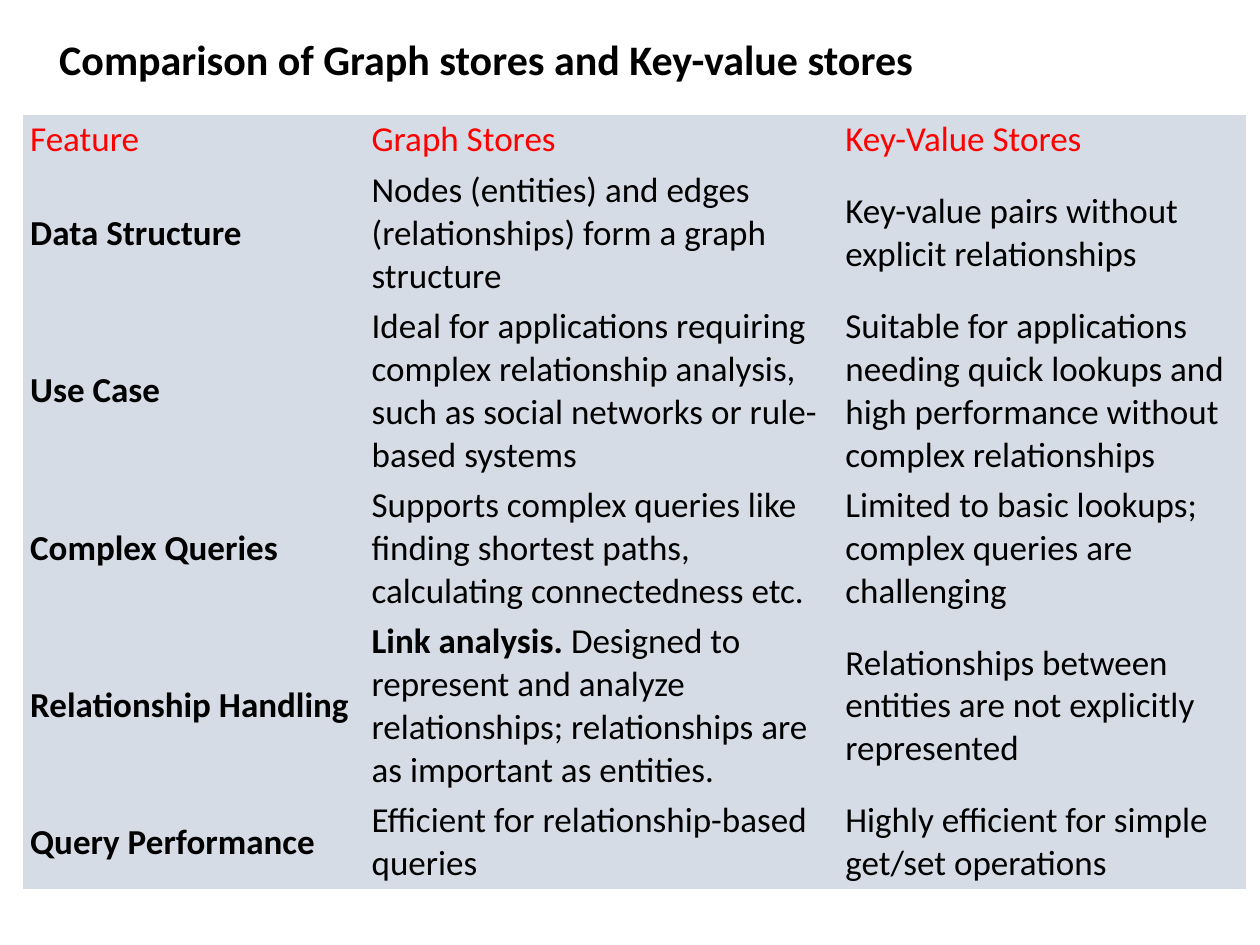
from pptx import Presentation
from pptx import util as u
from pptx.dml.color import RGBColor
from pptx.enum import text

FONT = "Calibri"
BLACK, RED, PALE_BLUE = "000000", "FF0000", "D6DCE5"
COLUMN_WIDTHS = [2.71, 3.76, 3.24]
ROW_HEIGHTS = [0.19, 0.58, 0.93, 0.93, 0.75, 0.58]
LEAD_IN = "Link analysis. "

ROWS = [
    ["Feature", "Graph Stores", "Key-Value Stores"],
    ["Data Structure",
     "Nodes (entities) and edges (relationships) form a graph structure",
     "Key-value pairs without explicit relationships"],
    ["Use Case",
     "Ideal for applications requiring complex relationship analysis, "
     "such as social networks or rule-based systems",
     "Suitable for applications needing quick lookups and high performance "
     "without complex relationships"],
    ["Complex Queries",
     "Supports complex queries like finding shortest paths, "
     "calculating connectedness etc.",
     "Limited to basic lookups; complex queries are challenging"],
    ["Relationship Handling",
     LEAD_IN + "Designed to represent and analyze relationships; "
     "relationships are as important as entities.",
     "Relationships between entities are not explicitly represented"],
    ["Query Performance",
     "Efficient for relationship-based queries",
     "Highly efficient for simple get/set operations"],
]


def rgb(value):
    return RGBColor.from_string(value)


def set_all(obj, formats):
    for name, value in formats.items():
        setattr(obj, name, value)


def add_run(p, words, size, color=BLACK, bold=False):
    r = p.add_run()
    r.text = words
    set_all(r.font, {"name": FONT, "size": u.Pt(size), "bold": bold})
    r.font.color.rgb = rgb(color)


def add_title(s, words):
    sp = s.shapes.title
    set_all(sp, {"left": u.Inches(0.37), "top": u.Inches(0.19),
                 "width": u.Inches(8.96), "height": u.Inches(0.99)})
    tf = sp.text_frame
    set_all(tf, {"word_wrap": True, "auto_size": text.MSO_AUTO_SIZE.NONE,
                 "vertical_anchor": text.MSO_ANCHOR.TOP})
    p = tf.paragraphs[0]
    set_all(p, {"alignment": text.PP_ALIGN.JUSTIFY, "line_spacing": 1.07,
                "space_before": u.Pt(0), "space_after": u.Pt(8)})
    add_run(p, words, 24, bold=True)


def fill_cell(cell, words, color, bold):
    cell.fill.solid()
    cell.fill.fore_color.rgb = rgb(PALE_BLUE)
    set_all(cell, {"vertical_anchor": text.MSO_ANCHOR.MIDDLE,
                   "margin_left": u.Inches(0.06), "margin_right": u.Inches(0.06),
                   "margin_top": u.Inches(0.03), "margin_bottom": u.Inches(0.03)})
    p = cell.text_frame.paragraphs[0]
    if words.startswith(LEAD_IN):
        add_run(p, LEAD_IN, 20, color, True)
        words = words[len(LEAD_IN):]
    add_run(p, words, 20, color, bold)


def add_comparison_table(s):
    height = u.Inches(6.01)
    frame = s.shapes.add_table(len(ROWS), len(COLUMN_WIDTHS), u.Inches(0.18),
                               u.Inches(0.91), u.Inches(sum(COLUMN_WIDTHS)), height)
    table = frame.table
    set_all(table, {"first_row": False, "horz_banding": False})
    # Plain grid without the borders of the default style
    style = table._tbl.tblPr.find("{*}tableStyleId")
    style.text = "{2D5ABB26-0587-4C30-8999-92F81FD0307C}"
    for column, width in zip(table.columns, COLUMN_WIDTHS):
        column.width = u.Inches(width)
    for row, row_height in zip(table.rows, ROW_HEIGHTS):
        row.height = u.Inches(row_height)
    frame.height = height
    # Red header row, bold feature names
    for i, row in enumerate(ROWS):
        for j, words in enumerate(row):
            fill_cell(table.cell(i, j), words, BLACK if i else RED,
                      i > 0 and j == 0)


def main():
    prs = Presentation()
    set_all(prs, {"slide_width": u.Inches(10), "slide_height": u.Inches(7.5)})
    s = prs.slides.add_slide(prs.slide_layouts[5])
    add_title(s, "Comparison of Graph stores and Key-value stores")
    add_comparison_table(s)
    prs.save("out.pptx")


if __name__ == "__main__":
    main()
